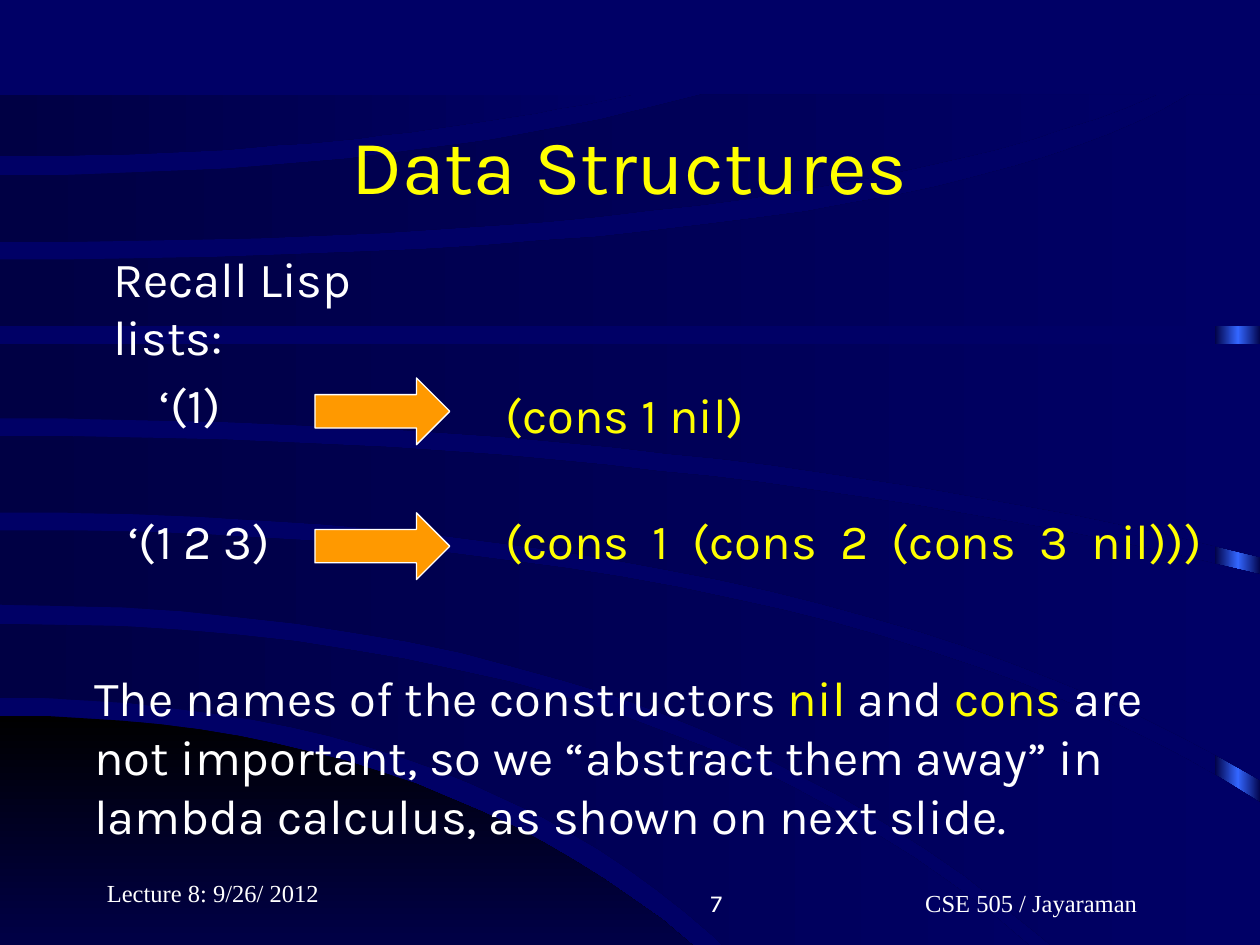
from copy import deepcopy

from pptx import Presentation
from pptx.dml.color import RGBColor
from pptx.enum.shapes import MSO_SHAPE as Shape
from pptx.enum.text import MSO_ANCHOR as Anchor, PP_ALIGN as Align
from pptx.util import Inches, Pt

WIDTH, HEIGHT = 10, 7.5
NAVY, DARK, BLACK, BLUE = "000066", "000044", "000000", "3366FF"
WHITE, YELLOW, ORANGE = "FFFFFF", "FFFF00", "FF9900"

# Backdrop edges in hundredths of an inch: each leaves the left side level at
# start_y, bends at bend_x and stops at (end_x, end_y). A band is (upper, lower).
CORNER = (568, 398, 629, 827), (827, 315, 629, 827)
BANDS = [
    ((495, 594, 894, 825), (554, 426, 643, 825)),
    ((421, 660, 1000, 637), (480, 595, 910, 825)),
    ((346, 545, 1000, 456), (407, 640, 1000, 619)),
    ((273, 500, 1000, 273), (332, 560, 1000, 442)),
    ((206, 730, 944, 75), (259, 500, 1000, 259)),
    ((139, 320, 557, 75), (192, 650, 918, 75)),
    ((75, 250, 502, 75), (124, 275, 502, 75)),
]
CURVE_STEPS = 24

BODY = {"size": Pt(28), "name": "Karla"}
FOOTER = {"size": Pt(14), "name": "Times New Roman"}

# Each text: box, font, paragraphs of (words, colour) spans, alignment, anchor
TEXTS = [
    ((0.75, 0.67, 8.5, 1.25), {"size": Pt(44), "name": "Karla"},
     [[("Data Structures", YELLOW)]], Align.CENTER, Anchor.MIDDLE),
    ((0.75, 6.75, 2.08, 0.5), FOOTER,
     [[("Lecture 8: 9/26/ 2012", WHITE)]], Align.LEFT, Anchor.BOTTOM),
    ((6.6, 6.83, 3.17, 0.5), FOOTER,
     [[("CSE 505 / Jayaraman", WHITE)]], Align.CENTER, Anchor.BOTTOM),
    ((3.75, 6.83, 2.08, 0.5), {"size": Pt(14), "name": "Karla"},
     [[("7", WHITE)]], Align.RIGHT, Anchor.BOTTOM),
    ((0.8, 1.92, 3.01, 0.57), BODY,
     [[("Recall Lisp lists:", WHITE)]], Align.LEFT, Anchor.TOP),
    ((0.65, 5.25, 8.75, 1.5), BODY, [
        [("The names of the constructors ", WHITE), ("nil", YELLOW),
         (" and ", WHITE), ("cons", YELLOW), (" are", WHITE)],
        [("not important, so we “abstract them away” in", WHITE)],
        [("lambda calculus, as shown on next slide.", WHITE)],
    ], Align.LEFT, Anchor.TOP),
]

# Each example: list, its left and top, constructor form, its top
EXAMPLES = [
    ("‘(1)", 1.17, 2.92, "(cons 1 nil)", 3),
    ("‘(1 2 3)", 0.92, 4, "(cons  1  (cons  2  (cons  3  nil)))", 4),
]
ARROW_LEFT, ARROW_TOP, ARROW_STEP = 2.5, 3, 1.07
FORM_LEFT = 3.91


def rgb(colour):
    return RGBColor.from_string(colour)


def fill_gradient(shape, colours, angle=0):
    """Spread the colours evenly along the angle, without a line or shadow."""
    shape.shadow.inherit = False
    shape.line.fill.background()
    shape.fill.gradient()
    shape.fill.gradient_angle = angle
    stops = shape.fill._fill._gradFill.gsLst
    for _ in colours[2:]:
        stops.append(deepcopy(stops[-1]))
    for index, (stop, colour) in enumerate(zip(shape.fill.gradient_stops, colours)):
        stop.position = index / (len(colours) - 1)
        stop.color.rgb = rgb(colour)


def edge_points(start_y, bend_x, end_x, end_y, right):
    """Follow a quadratic curve, then run level to the right limit."""
    points = []
    for step in range(CURVE_STEPS + 1):
        t = step / CURVE_STEPS
        points.append((2 * t * (1 - t) * bend_x + t * t * end_x,
                       start_y + t * t * (end_y - start_y)))
    return points + [(right, end_y)]


def add_band(page, edges, colours, angle=0):
    right = max(end_x for _, _, end_x, _ in edges)
    upper, lower = (edge_points(*edge, right) for edge in edges)
    start, *rest = upper + lower[::-1]
    builder = page.shapes.build_freeform(*start, scale=Inches(0.01))
    builder.add_line_segments(rest, close=True)
    fill_gradient(builder.convert_to_shape(), colours, angle)


def add_text(page, place, font, paragraphs, align=Align.LEFT, anchor=Anchor.TOP):
    frame = page.shapes.add_textbox(*map(Inches, place)).text_frame
    frame.word_wrap = True
    frame.vertical_anchor = anchor
    for index, spans in enumerate(paragraphs):
        para = frame.add_paragraph() if index else frame.paragraphs[0]
        para.alignment = align
        for words, colour in spans:
            span = para.add_run()
            span.text = words
            span.font.color.rgb = rgb(colour)
            for key, value in font.items():
                setattr(span.font, key, value)


def add_arrow(page, top):
    arrow = page.shapes.add_shape(
        Shape.RIGHT_ARROW, *map(Inches, (ARROW_LEFT, top, 1.07, 0.53)))
    arrow.shadow.inherit = False
    arrow.fill.solid()
    arrow.fill.fore_color.rgb = rgb(ORANGE)
    arrow.line.color.rgb = rgb(WHITE)
    arrow.line.width = Pt(0.75)


def main():
    deck = Presentation()
    deck.slide_width, deck.slide_height = Inches(WIDTH), Inches(HEIGHT)
    page = deck.slides.add_slide(deck.slide_layouts[6])
    page.background.fill.solid()
    page.background.fill.fore_color.rgb = rgb(NAVY)

    bar = page.shapes.add_shape(Shape.RECTANGLE, *map(Inches, (9.64, 0.77, 0.37, 7.5)))
    fill_gradient(bar, [DARK, BLUE, DARK])
    add_band(page, CORNER, [BLACK, NAVY], angle=270)
    for band in BANDS:
        add_band(page, band, [DARK, NAVY])

    for text in TEXTS:
        add_text(page, *text)
    for row, (source, left, top, form, form_top) in enumerate(EXAMPLES):
        add_text(page, (left, top, ARROW_LEFT - left, 0.57), BODY, [[(source, WHITE)]])
        add_arrow(page, ARROW_TOP + row * ARROW_STEP)
        add_text(page, (FORM_LEFT, form_top, WIDTH - FORM_LEFT, 0.57), BODY,
                 [[(form, YELLOW)]])
    deck.save("out.pptx")


if __name__ == "__main__":
    main()
